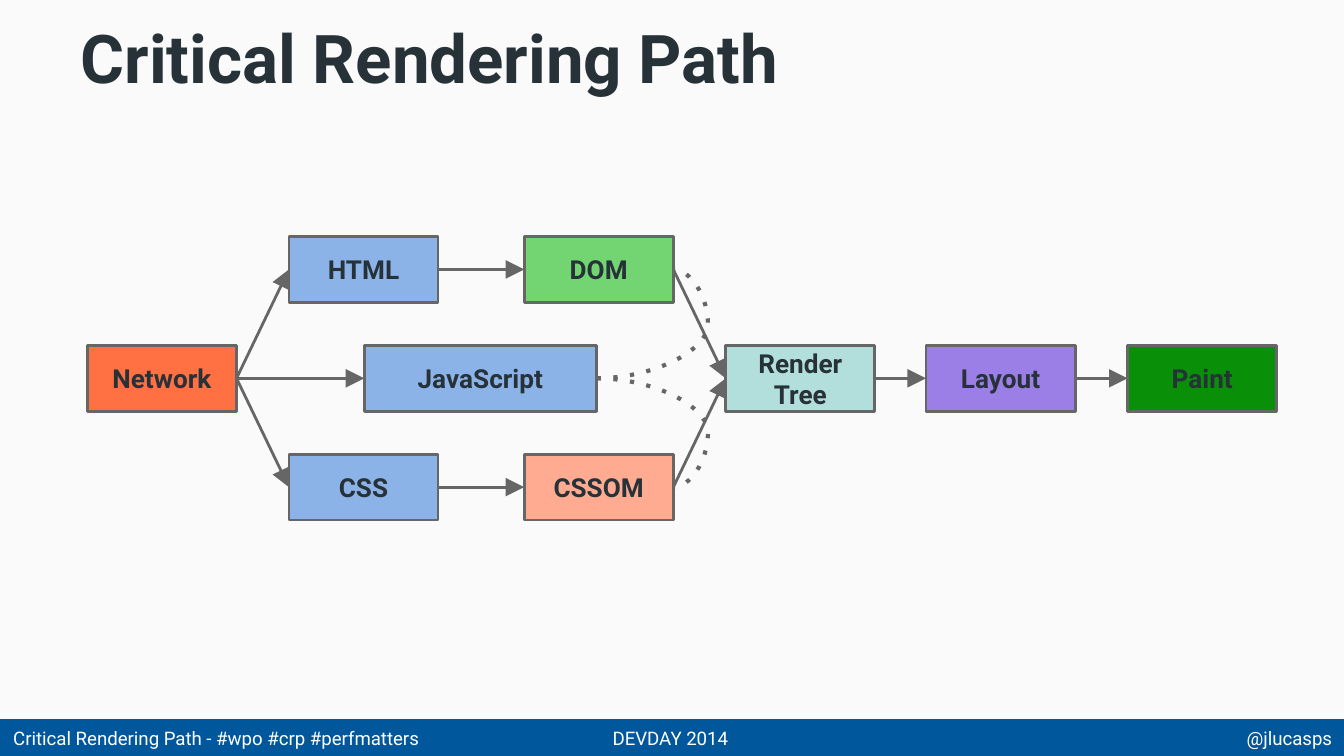
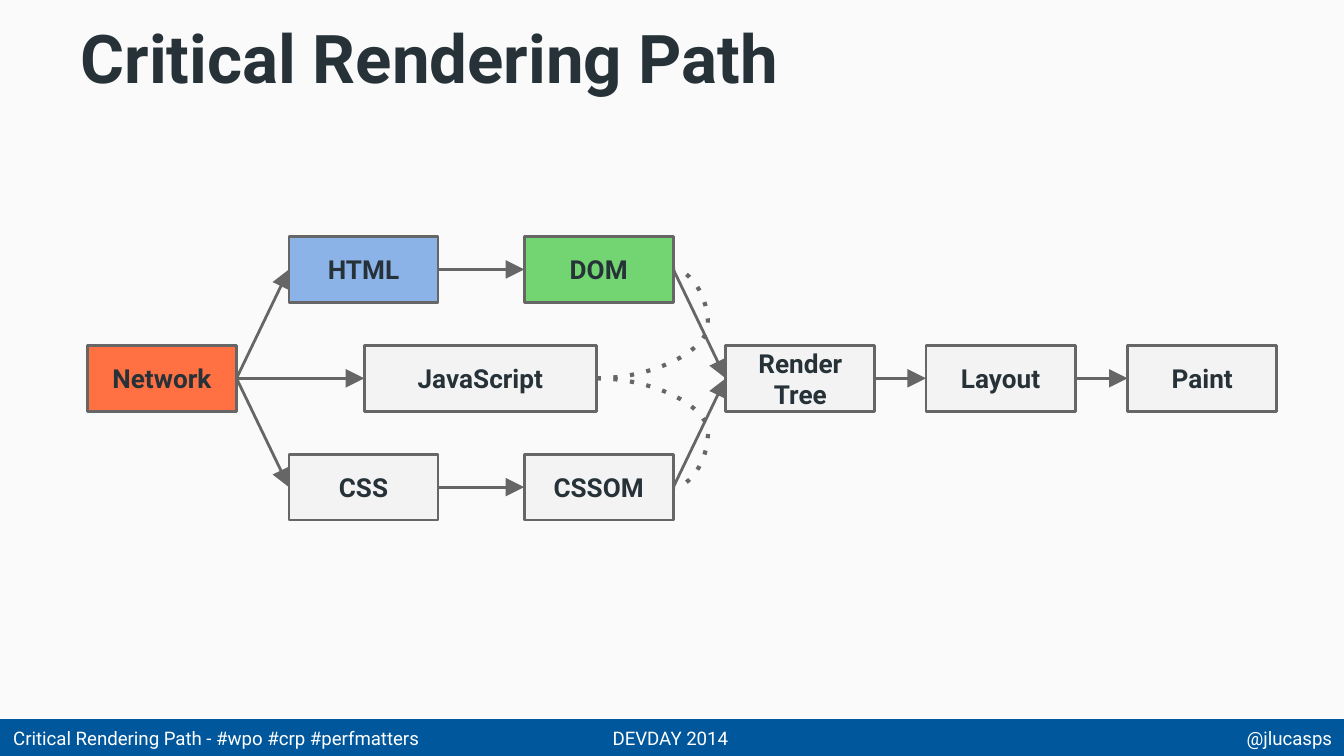
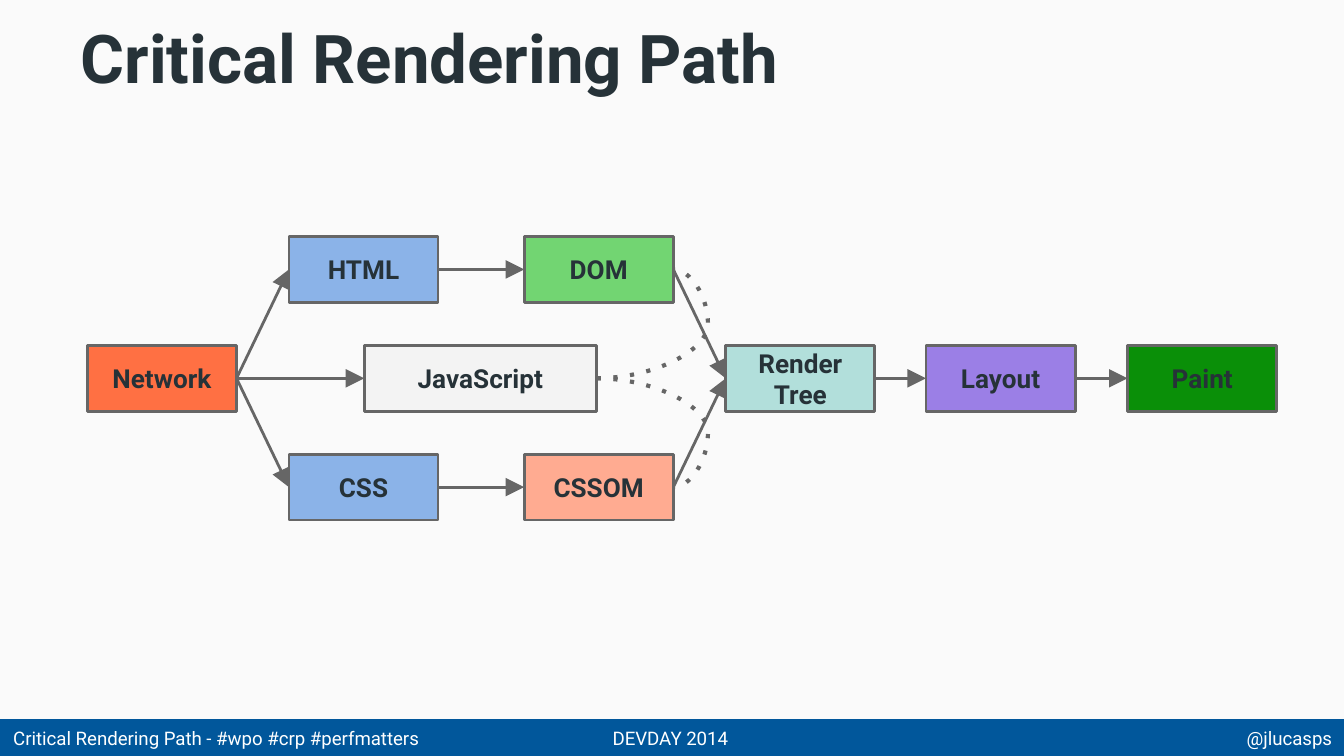
from dataclasses import dataclass

from lxml.etree import SubElement
from pptx import Presentation
from pptx.dml.color import RGBColor
from pptx.enum.shapes import MSO_CONNECTOR, MSO_SHAPE
from pptx.enum.text import MSO_ANCHOR, MSO_AUTO_SIZE, PP_ALIGN
from pptx.oxml.ns import qn
from pptx.util import Inches, Pt


@dataclass(frozen=True)
class Theme:
    font: str = "Roboto"
    background: str = "FAFAFA"
    band: str = "01579B"
    band_text: str = "FFFFFF"
    ink: str = "263238"
    outline: str = "666666"
    muted: str = "F3F3F3"
    network: str = "FF7043"
    resource: str = "8BB3E8"
    dom: str = "72D572"
    cssom: str = "FFAB91"
    render_tree: str = "B2DFDB"
    layout: str = "9B7FE6"
    paint: str = "0A8F08"
    title_size: int = 36
    stage_size: int = 14
    footer_size: int = 10
    line_width: float = 1.5
    dotted_width: float = 2.25
    inset: float = 0.1


THEME = Theme()

SLIDE_WIDTH = 10
SLIDE_HEIGHT = SLIDE_WIDTH * 9 / 16
BAND_WIDTH = 10.01
FOOTER_TOP, FOOTER_HEIGHT = 5.35, 0.28
STAGE_WIDTH, STAGE_HEIGHT = 1.11, 0.49
SCRIPT_WIDTH = 1.73
UPPER, MIDDLE, LOWER = (1.76 + 0.81 * row for row in range(3))
LEFT_SIDE, RIGHT_SIDE = 1, 3
CURVE_BULGE = 145300

TITLE = "Critical Rendering Path"

FOOTER_TEXTS = (
    ("Critical Rendering Path - #wpo #crp #perfmatters", 0, 3.45, PP_ALIGN.LEFT),
    ("DEVDAY 2014", 4.46, 1.1, PP_ALIGN.LEFT),
    ("@jlucasps", 8.91, 1.1, PP_ALIGN.RIGHT),
)

STAGES = (
    ("Network", 0.65, MIDDLE, STAGE_WIDTH, THEME.network),
    ("HTML", 2.15, UPPER, STAGE_WIDTH, THEME.resource),
    ("CSS", 2.15, LOWER, STAGE_WIDTH, THEME.resource),
    ("DOM", 3.9, UPPER, STAGE_WIDTH, THEME.dom),
    ("CSSOM", 3.9, LOWER, STAGE_WIDTH, THEME.cssom),
    ("JavaScript", 2.71, MIDDLE, SCRIPT_WIDTH, THEME.resource),
    ("Render Tree", 5.4, MIDDLE, STAGE_WIDTH, THEME.render_tree),
    ("Layout", 6.89, MIDDLE, STAGE_WIDTH, THEME.layout),
    ("Paint", 8.39, MIDDLE, STAGE_WIDTH, THEME.paint),
)

ARROWS = (
    ("Network", "HTML"),
    ("Network", "CSS"),
    ("Network", "JavaScript"),
    ("HTML", "DOM"),
    ("CSS", "CSSOM"),
    ("DOM", "Render Tree"),
    ("CSSOM", "Render Tree"),
    ("Render Tree", "Layout"),
    ("Layout", "Paint"),
)

DOTTED_CURVES = (("JavaScript", "DOM"), ("JavaScript", "CSSOM"))

MUTED_STAGES = (
    set(),
    {"CSS", "CSSOM", "JavaScript", "Render Tree", "Layout", "Paint"},
    {"JavaScript"},
)


def write_text(shape, text, size, color, align, anchor=MSO_ANCHOR.MIDDLE, bold=False):
    frame = shape.text_frame
    frame.word_wrap = True
    frame.auto_size = MSO_AUTO_SIZE.NONE
    frame.vertical_anchor = anchor
    frame.margin_left = frame.margin_right = Inches(THEME.inset)
    frame.margin_top = frame.margin_bottom = Inches(THEME.inset)
    paragraph = frame.paragraphs[0]
    paragraph.alignment = align
    run = paragraph.add_run()
    run.text = text
    run.font.name = THEME.font
    run.font.size = Pt(size)
    run.font.bold = bold
    run.font.color.rgb = RGBColor.from_string(color)


def add_rectangle(slide, left, top, width, height, fill):
    rectangle = slide.shapes.add_shape(
        MSO_SHAPE.RECTANGLE, Inches(left), Inches(top), Inches(width), Inches(height)
    )
    rectangle.shadow.inherit = False
    rectangle.fill.solid()
    rectangle.fill.fore_color.rgb = RGBColor.from_string(fill)
    rectangle.line.fill.background()
    return rectangle


def set_line(shape, width):
    shape.line.color.rgb = RGBColor.from_string(THEME.outline)
    shape.line.width = Pt(width)


def add_footer(slide):
    band = add_rectangle(slide, 0, FOOTER_TOP, BAND_WIDTH, FOOTER_HEIGHT, THEME.band)
    footer = [band]
    for text, left, width, align in FOOTER_TEXTS:
        box = slide.shapes.add_textbox(
            Inches(left), Inches(FOOTER_TOP), Inches(width), Inches(FOOTER_HEIGHT)
        )
        write_text(box, text, THEME.footer_size, THEME.band_text, align)
        footer.append(box)
    return footer


def move_to_layout(shapes, layout):
    for shape in shapes:
        layout.shapes.element.append(shape.element)


def add_title(slide):
    title = slide.shapes.title
    title.left, title.top = Inches(0.5), Inches(0.15)
    title.width, title.height = Inches(9), Inches(0.67)
    write_text(
        title, TITLE, THEME.title_size, THEME.ink,
        PP_ALIGN.LEFT, MSO_ANCHOR.BOTTOM, bold=True,
    )


def add_stage(slide, name, left, top, width, fill):
    stage = add_rectangle(slide, left, top, width, STAGE_HEIGHT, fill)
    set_line(stage, THEME.line_width)
    write_text(stage, name, THEME.stage_size, THEME.ink, PP_ALIGN.CENTER, bold=True)
    return stage


def add_line(slide, kind, start, end, width, detail, settings):
    connector = slide.shapes.add_connector(kind, *start, *end)
    set_line(connector, width)
    properties = connector.element.spPr
    SubElement(properties.find(qn("a:ln")), qn(detail), settings)
    SubElement(properties, qn("a:effectLst"))
    return connector


def side_middle(stage, side):
    x = stage.left if side == LEFT_SIDE else stage.left + stage.width
    return x, stage.top + stage.height // 2


def add_arrow(slide, source, target):
    arrow = add_line(
        slide, MSO_CONNECTOR.STRAIGHT,
        side_middle(source, RIGHT_SIDE), side_middle(target, LEFT_SIDE),
        THEME.line_width, "a:tailEnd", {"type": "triangle", "w": "lg", "len": "lg"},
    )
    arrow.begin_connect(source, RIGHT_SIDE)
    arrow.end_connect(target, LEFT_SIDE)


def add_dotted_curve(slide, source, target):
    curve = add_line(
        slide, MSO_CONNECTOR.CURVE,
        side_middle(source, RIGHT_SIDE), side_middle(target, RIGHT_SIDE),
        THEME.dotted_width, "a:prstDash", {"val": "dot"},
    )
    geometry = curve.element.spPr.find(qn("a:prstGeom"))
    adjustments = geometry.find(qn("a:avLst"))
    if adjustments is None:
        adjustments = SubElement(geometry, qn("a:avLst"))
    SubElement(adjustments, qn("a:gd"), {"name": "adj1", "fmla": f"val {CURVE_BULGE}"})


def add_diagram(slide, muted):
    stages = {}
    for name, left, top, width, color in STAGES:
        fill = THEME.muted if name in muted else color
        stages[name] = add_stage(slide, name, left, top, width, fill)
    for source, target in ARROWS:
        add_arrow(slide, stages[source], stages[target])
    for source, target in DOTTED_CURVES:
        add_dotted_curve(slide, stages[source], stages[target])


def main():
    presentation = Presentation()
    presentation.slide_width = Inches(SLIDE_WIDTH)
    presentation.slide_height = Inches(SLIDE_HEIGHT)
    background = presentation.slide_master.background.fill
    background.solid()
    background.fore_color.rgb = RGBColor.from_string(THEME.background)
    title_only = presentation.slide_layouts.get_by_name("Title Only")
    for muted in MUTED_STAGES:
        slide = presentation.slides.add_slide(title_only)
        add_title(slide)
        add_diagram(slide, muted)
    move_to_layout(add_footer(presentation.slides[0]), title_only)
    presentation.save("out.pptx")


if __name__ == "__main__":
    main()
